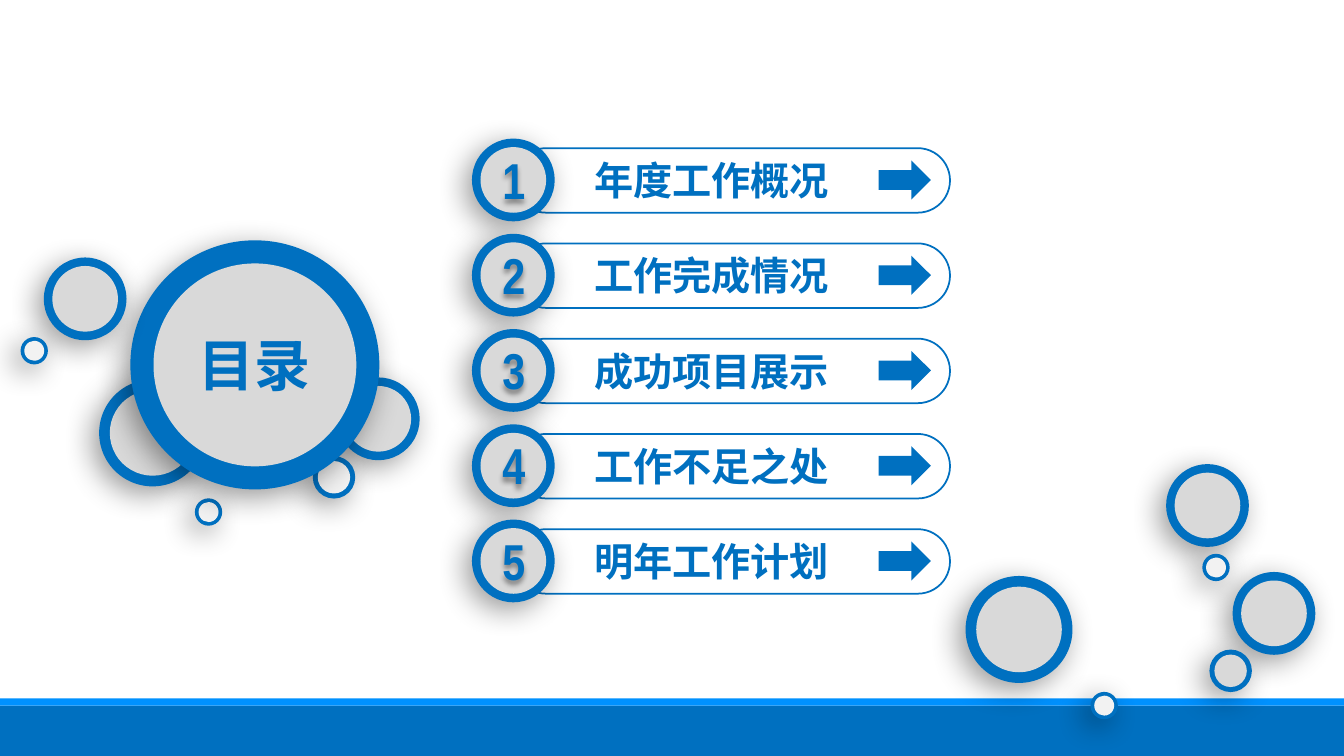
from dataclasses import dataclass

from lxml import etree
from pptx import Presentation
from pptx.dml.color import RGBColor
from pptx.enum.shapes import MSO_SHAPE
from pptx.enum.text import MSO_ANCHOR, MSO_AUTO_SIZE, PP_ALIGN
from pptx.oxml.ns import qn
from pptx.util import Inches, Pt

RECT, OVAL = MSO_SHAPE.RECTANGLE, MSO_SHAPE.OVAL
PILL, ARROW = MSO_SHAPE.ROUNDED_RECTANGLE, MSO_SHAPE.RIGHT_ARROW
LEFT, CENTER = PP_ALIGN.LEFT, PP_ALIGN.CENTER
MIDDLE, GROW = MSO_ANCHOR.MIDDLE, MSO_AUTO_SIZE.SHAPE_TO_FIT_TEXT


@dataclass(frozen=True)
class Theme:
    blue: str = "0070C0"
    bright: str = "0091FE"
    gray: str = "D9D9D9"
    pale: str = "F2F2F2"
    heading_font: str = "Noto Sans CJK SC"
    number_font: str = "Arial Narrow"
    title_size: int = 40
    item_size: int = 28
    number_size: int = 36
    ring_line: float = 2.25
    pill_line: float = 1.25
    face_ratio: float = 0.825


THEME = Theme()
ENTRIES = ["年度工作概况", "工作完成情况", "成功项目展示", "工作不足之处", "明年工作计划"]

# Bubbles: left, top, diameter, face colour
BACK_BUBBLES = [
    (3.36, 3.76, 0.79, THEME.gray),
    (3.12, 4.54, 0.39, THEME.pale),
    (1.0, 3.78, 1.03, THEME.gray),
    (1.95, 4.96, 0.24, THEME.pale),
    (1.31, 2.4, 2.44, THEME.gray),
]
SIDE_BUBBLES = [
    (0.45, 2.57, 0.79, THEME.gray),
    (0.22, 3.36, 0.24, THEME.pale),
]
CORNER_BUBBLES = [
    (12.25, 5.69, 0.79, THEME.gray),
    (12.02, 6.46, 0.39, THEME.gray),
    (9.6, 5.73, 1.03, THEME.gray),
    (10.84, 6.88, 0.24, THEME.pale),
    (11.59, 4.62, 0.79, THEME.gray),
    (11.95, 5.51, 0.24, THEME.pale),
]


def add_form(shapes, kind, box, fill=None, line=None, width=0):
    form = shapes.add_shape(kind, *map(Inches, box))
    form.shadow.inherit = False
    if fill:
        form.fill.solid()
        form.fill.fore_color.rgb = RGBColor.from_string(fill)
    else:
        form.fill.background()
    if line:
        form.line.color.rgb = RGBColor.from_string(line)
        form.line.width = Pt(width)
    else:
        form.line.fill.background()
    return form


def cast_shadow(form, blur, distance, degrees):
    form.shadow.inherit = False
    effects = form._element.spPr.find(qn("a:effectLst"))
    shadow = etree.SubElement(
        effects, qn("a:outerShdw"), blurRad=str(Pt(blur)), dist=str(Pt(distance)),
        dir=str(degrees * 60000), algn="t", rotWithShape="0")
    black = etree.SubElement(shadow, qn("a:srgbClr"), val="000000")
    etree.SubElement(black, qn("a:alpha"), val="40000")


def write(holder, text, size, font, align):
    frame = holder.text_frame
    frame.margin_left = frame.margin_right = frame.margin_top = frame.margin_bottom = 0
    frame.word_wrap = True
    frame.auto_size = GROW
    frame.vertical_anchor = MIDDLE
    paragraph = frame.paragraphs[0]
    paragraph.alignment = align
    run = paragraph.add_run()
    run.text = text
    run.font.size = Pt(size)
    run.font.bold = True
    run.font.name = font
    run.font.color.rgb = RGBColor.from_string(THEME.blue)
    etree.SubElement(run.font._element, qn("a:ea"), typeface=font)


def add_bubble(slide, left, top, diameter, face_color):
    bubble = slide.shapes.add_group_shape()
    ring = add_form(bubble.shapes, OVAL, (left, top, diameter, diameter),
                    THEME.blue, THEME.blue, THEME.ring_line)
    cast_shadow(ring, 22, 7, 135)
    face = diameter * THEME.face_ratio
    inset = (diameter - face) / 2
    add_form(bubble.shapes, OVAL, (left + inset, top + inset, face, face), face_color)
    return bubble


def add_footer(slide, left, top, width, height):
    stripe = 0.07
    add_form(slide.shapes, RECT, (left, top + stripe, width, height - stripe), THEME.blue)
    add_form(slide.shapes, RECT, (left, top, width, stripe), THEME.bright)


def add_heading(slide, left, top, width, height):
    title = slide.shapes.title
    title.left, title.top = Inches(left), Inches(top)
    title.width, title.height = Inches(width), Inches(height)
    write(title, "目录", THEME.title_size, THEME.heading_font, CENTER)
    # Bring the heading in front of its bubble
    slide.shapes._spTree.append(title._element)


def add_entry(slide, number, text, left, top):
    # Label, outline and arrow
    label = slide.shapes.add_textbox(
        Inches(left + 1.2), Inches(top + 0.16), Inches(2.44), Inches(0.47))
    write(label, text, THEME.item_size, THEME.heading_font, LEFT)
    pill = add_form(slide.shapes, PILL, (left + 0.4, top + 0.08, 4.33, 0.64),
                    line=THEME.blue, width=THEME.pill_line)
    pill.adjustments[0] = 0.5
    add_form(slide.shapes, ARROW, (left + 4.02, top + 0.2, 0.52, 0.39), THEME.blue)

    # Numbered bubble
    bubble = add_bubble(slide, left, top, 0.79, THEME.gray)
    digit = bubble.shapes.add_textbox(
        Inches(left + 0.08), Inches(top + 0.08), Inches(0.64), Inches(0.61))
    write(digit, str(number), THEME.number_size, THEME.number_font, CENTER)
    cast_shadow(digit, 4, 3, 90)


def add_contents(slide, left, top, last_top):
    pitch = (last_top - top) / (len(ENTRIES) - 1)
    for index, text in enumerate(ENTRIES):
        add_entry(slide, index + 1, text, left, top + index * pitch)


def main():
    deck = Presentation()
    deck.slide_width, deck.slide_height = Inches(13.34), Inches(7.5)
    slide = deck.slides.add_slide(deck.slide_layouts[5])

    add_footer(slide, 0, 6.93, 13.34, 0.57)
    for bubble in BACK_BUBBLES:
        add_bubble(slide, *bubble)
    add_heading(slide, 1.71, 3.28, 1.63, 0.67)
    for bubble in SIDE_BUBBLES:
        add_bubble(slide, *bubble)
    add_contents(slide, 4.7, 1.39, 5.17)
    for bubble in CORNER_BUBBLES:
        add_bubble(slide, *bubble)

    deck.save("out.pptx")


if __name__ == "__main__":
    main()
